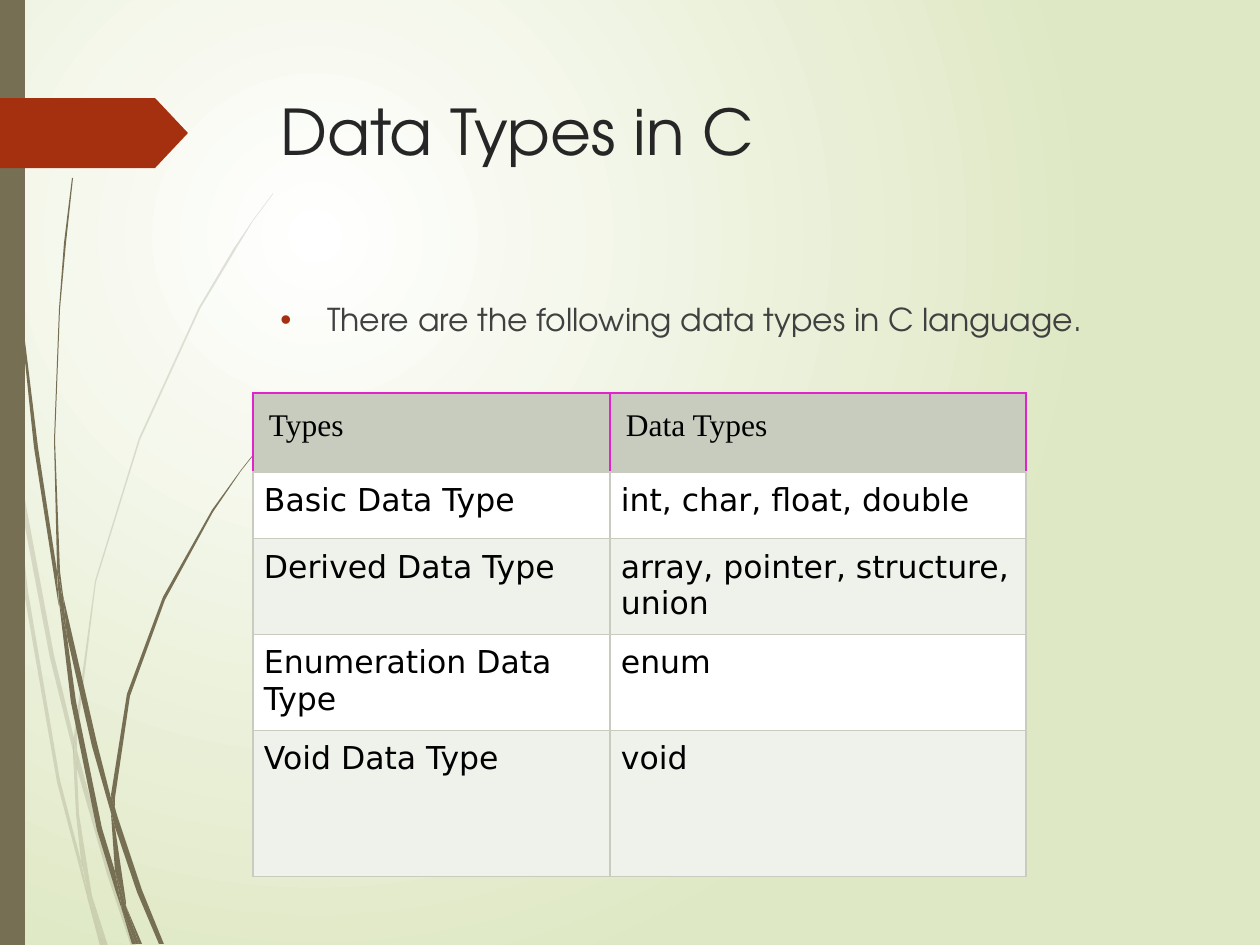
import pptx
import pptx.util
import pptx.dml.color
import pptx.enum.shapes
import pptx.oxml
import pptx.oxml.ns
import lxml.etree

PX = 914400 / 126
RGB = pptx.dml.color.RGBColor
WHITE = RGB(0xFF, 0xFF, 0xFF)
PALE_GREEN = RGB(0xDF, 0xE8, 0xC4)
OLIVE = RGB(0x76, 0x6F, 0x54)
RUST = RGB(0xA5, 0x30, 0x10)
TITLE_GREY = RGB(0x26, 0x26, 0x26)
BODY_GREY = RGB(0x40, 0x40, 0x40)
BLACK = RGB(0, 0, 0)
SAGE = RGB(0xC7, 0xCC, 0xBE)
PALE_SAGE = RGB(0xEF, 0xF1, 0xEB)
MAGENTA = RGB(0xE0, 0x23, 0xCA)
HEADING_FONT = "TeX Gyre Adventor"
qn = pptx.oxml.ns.qn
SubElement = lxml.etree.SubElement


def px(*values):
    return [pptx.util.Emu(round(v * PX)) for v in values]


def style(p, name, size, color):
    for r in p.runs:
        r.font.name = name
        r.font.size = pptx.util.Pt(size)
        r.font.color.rgb = color


prs = pptx.Presentation()
prs.slide_width, prs.slide_height = px(1260, 945)
s = prs.slides.add_slide(prs.slide_layouts[6])

fill = s.background.fill
fill.gradient()
for stop, position, color in zip(fill.gradient_stops, (0, 1), (WHITE, PALE_GREEN)):
    stop.position = position
    stop.color.rgb = color
grad = s.background._cSld.find(".//" + qn("a:gradFill"))
grad.remove(grad.find(qn("a:lin")))
path = SubElement(grad, qn("a:path"), path="circle")
SubElement(path, qn("a:fillToRect"), l="50000", t="50000", r="100000", b="100000")

faint_grass = [
    [(10, 441), (8, 406), (0, 355), (0, 377), (9, 433)],
    [(50, 658), (74, 755), (74, 738), (54, 655), (13, 435), (15, 474)],
    [(81, 765), (77, 751), (77, 769), (107, 874), (131, 946), (136, 946),
     (111, 872)],
    [(105, 946), (108, 946), (92, 896)],
    [(81, 861), (60, 780), (28, 591), (15, 474), (10, 441), (24, 592),
     (57, 782), (81, 873), (88, 900), (87, 891)],
    [(73, 755), (76, 814), (81, 861), (84, 872), (92, 896), (91, 890),
     (79, 814), (77, 769), (77, 766)],
    [(77, 736), (96, 582), (140, 440), (200, 309), (236, 249), (253, 221),
     (273, 194), (273, 193), (253, 220), (234, 248), (199, 307), (139, 438),
     (95, 581), (74, 736), (74, 738), (77, 751)],
    [(88, 900), (100, 946), (103, 946)],
    [(77, 766), (77, 769), (77, 751), (74, 738), (73, 755)],
    [(84, 872), (82, 861), (87, 891), (88, 900), (103, 946), (105, 946),
     (92, 896)],
]
dark_grass = [
    [(6, 139), (18, 294), (34, 447), (58, 601), (59, 606), (57, 576),
     (57, 571), (38, 447), (19, 292), (8, 137), (5, 60), (4, 0), (3, 0), (4, 60)],
    [(92, 746), (111, 813), (111, 798), (97, 743), (63, 595), (67, 636)],
    [(118, 818), (115, 808), (115, 827), (137, 892), (159, 944), (164, 944),
     (142, 890)],
    [(115, 871), (102, 828), (76, 701), (67, 636), (59, 601), (71, 702),
     (97, 830), (116, 892), (122, 910), (121, 903)],
    [(63, 595), (60, 571), (55, 440), (60, 309), (66, 243), (73, 178),
     (72, 178), (64, 243), (59, 309), (54, 440), (57, 566), (62, 595)],
    [(139, 944), (142, 944), (126, 906)],
    [(59, 601), (67, 636), (63, 595), (62, 595), (57, 566), (57, 571)],
    [(115, 798), (130, 696), (165, 600), (213, 512), (241, 471), (256, 452),
     (272, 433), (271, 433), (256, 451), (241, 470), (212, 510), (163, 597),
     (127, 694), (111, 795), (115, 808)],
    [(122, 910), (132, 944), (136, 944)],
    [(111, 813), (115, 871), (121, 890), (126, 906), (126, 902), (115, 827),
     (113, 820)],
    [(111, 813), (113, 820), (115, 827), (115, 808), (111, 795)],
    [(121, 890), (115, 871), (121, 903), (122, 910), (136, 944), (139, 944),
     (126, 906)],
]
for outlines, opacity in ((faint_grass, 20), (dark_grass, 100)):
    for outline in outlines:
        builder = s.shapes.build_freeform(*outline[0], scale=PX)
        builder.add_line_segments(outline[1:])
        sp = builder.convert_to_shape()
        sp.shadow.inherit = False
        sp.fill.solid()
        sp.fill.fore_color.rgb = OLIVE
        sp.line.fill.background()
        if opacity < 100:
            color = sp._element.spPr.find(qn("a:solidFill"))[0]
            SubElement(color, qn("a:alpha"), val=str(opacity * 1000))

SHAPE = pptx.enum.shapes.MSO_SHAPE
for kind, box, color in [
    (SHAPE.RECTANGLE, (0, 0, 25, 945), OLIVE),
    (SHAPE.PENTAGON, (0, 98, 188, 70), RUST),
]:
    sp = s.shapes.add_shape(kind, *px(*box))
    sp.shadow.inherit = False
    sp.fill.solid()
    sp.fill.fore_color.rgb = color
    sp.line.fill.background()
sp.adjustments[0] = 0.47

for box, text, size, color in [
    ((268, 86, 908, 176), "Data Types in C", 36, TITLE_GREY),
    ((268, 294, 908, 520), "There are the following data types in C language.",
     18, BODY_GREY),
]:
    tf = s.shapes.add_textbox(*px(*box)).text_frame
    tf.word_wrap = True
    p = tf.paragraphs[0]
    p.text = text
    style(p, HEADING_FONT, size, color)
pPr = p._p.get_or_add_pPr()
indent = px(47)[0]
pPr.set("marL", str(indent))
pPr.set("indent", str(-indent))
SubElement(SubElement(pPr, qn("a:buClr")), qn("a:srgbClr"), val=str(RUST))
SubElement(pPr, qn("a:buFont"), typeface="Arial")
SubElement(pPr, qn("a:buChar"), char="•")

rows = [
    ("Types", "Data Types"),
    ("Basic Data Type", "int, char, float, double"),
    ("Derived Data Type", "array, pointer, structure, union"),
    ("Enumeration Data Type", "enum"),
    ("Void Data Type", "void"),
]
table = s.shapes.add_table(len(rows), 2, *px(253, 393, 773, 480)).table
table.first_row = False
table.horz_banding = False
for column, width in zip(table.columns, px(357, 416)):
    column.width = width
for row, height in zip(table.rows, px(79, 67, 67, 67, 146)):
    row.height = height

for i, texts in enumerate(rows):
    header = i == 0
    for j, text in enumerate(texts):
        cell = table.cell(i, j)
        side_inset, end_inset = px(16, 15) if header else px(11, 10)
        cell.margin_left = cell.margin_right = side_inset
        cell.margin_top = cell.margin_bottom = end_inset
        tcPr = cell._tc.get_or_add_tcPr()
        for side in "LRTB":
            color = MAGENTA if header and side != "B" else SAGE
            ln = SubElement(tcPr, qn("a:ln" + side), w="9525")
            SubElement(SubElement(ln, qn("a:solidFill")), qn("a:srgbClr"),
                       val=str(color))
        cell.fill.solid()
        cell.fill.fore_color.rgb = SAGE if header else WHITE if i % 2 else PALE_SAGE
        p = cell.text_frame.paragraphs[0]
        p.text = text
        style(p, "Times New Roman" if header else "DejaVu Sans", 18, BLACK)

prs.save("out.pptx")
